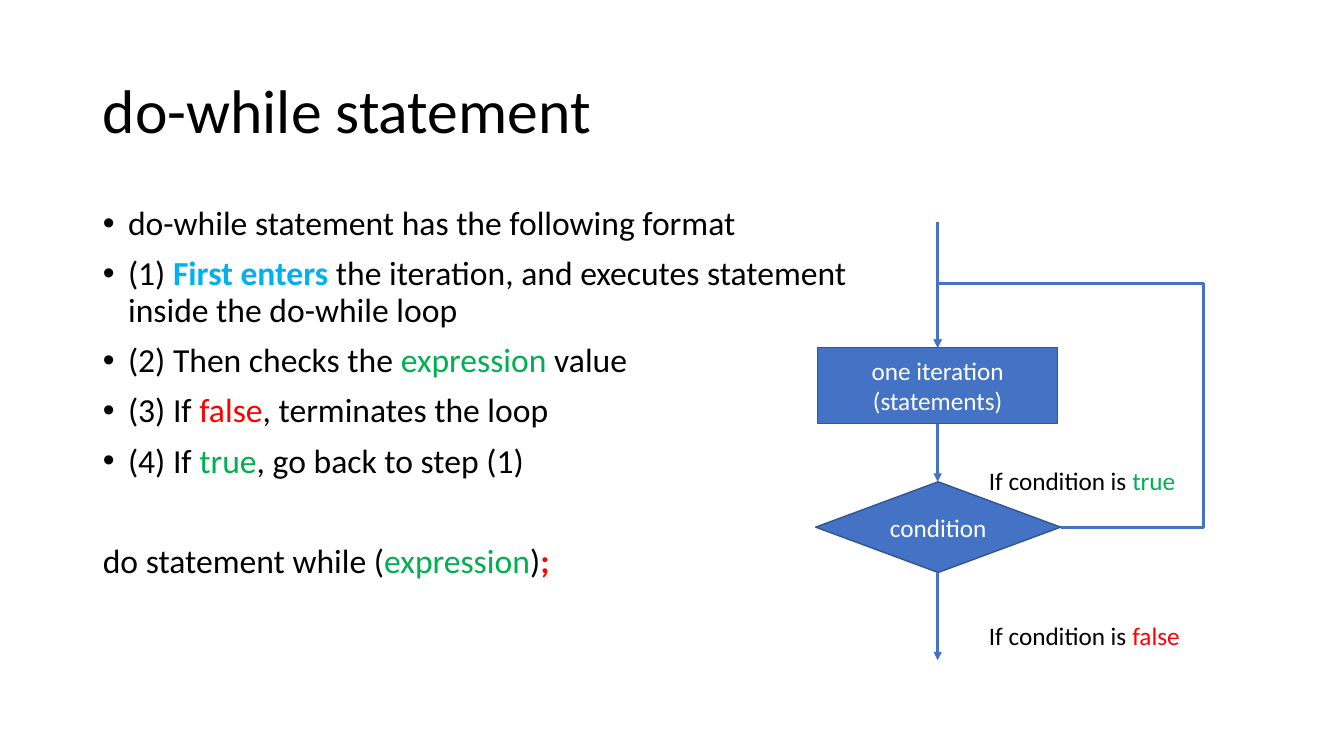
from lxml import etree
from pptx import Presentation
from pptx import util as u
from pptx.dml.color import RGBColor
from pptx.enum import shapes, text
from pptx.oxml.ns import qn

COLORS = {
    "ink": "000000",
    "paper": "FFFFFF",
    "blue": "4472C4",
    "outline": "325491",
    "sky": "00B0F0",
    "green": "00B050",
    "red": "FF0000",
}


def color(name):
    return RGBColor.from_string(COLORS[name])


class SlideBuilder:
    font_name = "Calibri"
    line_width = u.Pt(2)

    def __init__(self, page):
        self.page = page

    def place(self, box, left, top, width, height):
        box.left, box.top = u.Inches(left), u.Inches(top)
        box.width, box.height = u.Inches(width), u.Inches(height)

    def add_spans(self, para, spans, size, ink="ink"):
        para.font.name = self.font_name
        para.font.size = u.Pt(size)
        para.font.color.rgb = color(ink)
        for words, accent_ink, bold in spans:
            span = para.add_run()
            span.text = words
            if accent_ink:
                span.font.color.rgb = color(accent_ink)
            if bold:
                span.font.bold = True

    def title(self, words, *bounds):
        box = self.page.shapes.title
        self.place(box, *bounds)
        frame = box.text_frame
        frame.auto_size = text.MSO_AUTO_SIZE.NONE
        frame.vertical_anchor = text.MSO_ANCHOR.MIDDLE
        para = frame.paragraphs[0]
        para.alignment = text.PP_ALIGN.LEFT
        para.line_spacing = 0.9
        self.add_spans(para, [plain(words)], 44)

    def body(self, items, *bounds):
        box = self.page.placeholders[1]
        self.place(box, *bounds)
        frame = box.text_frame
        frame.auto_size = text.MSO_AUTO_SIZE.NONE
        for index, (bulleted, space, spans) in enumerate(items):
            para = frame.add_paragraph() if index else frame.paragraphs[0]
            self.bullet(para, bulleted)
            para.line_spacing = 0.9
            para.space_before = u.Pt(space)
            self.add_spans(para, spans, 24)

    def bullet(self, para, bulleted):
        properties = para._p.get_or_add_pPr()
        indent = u.Inches(0.25) if bulleted else 0
        properties.set("marL", str(indent))
        properties.set("indent", str(-indent))
        if bulleted:
            etree.SubElement(properties, qn("a:buFont"), typeface="Arial")
            etree.SubElement(properties, qn("a:buChar"), char="•")
        else:
            etree.SubElement(properties, qn("a:buNone"))

    def label(self, spans, *bounds):
        box = self.page.shapes.add_textbox(*map(u.Inches, bounds))
        frame = box.text_frame
        frame.word_wrap = True
        frame.auto_size = text.MSO_AUTO_SIZE.SHAPE_TO_FIT_TEXT
        self.add_spans(frame.paragraphs[0], spans, 18)

    def node(self, kind, words, *bounds):
        box = self.page.shapes.add_shape(kind, *map(u.Inches, bounds))
        box.shadow.inherit = False
        box.fill.solid()
        box.fill.fore_color.rgb = color("blue")
        box.line.color.rgb = color("outline")
        box.line.width = u.Pt(1)
        frame = box.text_frame
        frame.word_wrap = True
        frame.vertical_anchor = text.MSO_ANCHOR.MIDDLE
        para = frame.paragraphs[0]
        para.alignment = text.PP_ALIGN.CENTER
        self.add_spans(para, [plain(words)], 18, "paper")

    def arrow(self, start, end, kind=shapes.MSO_CONNECTOR.STRAIGHT):
        line = self.page.shapes.add_connector(kind, *map(u.Inches, start + end))
        line.line.color.rgb = color("blue")
        line.line.width = self.line_width
        properties = line._element.spPr
        etree.SubElement(properties.find(qn("a:ln")), qn("a:tailEnd"), type="triangle")
        etree.SubElement(properties, qn("a:effectLst"))
        return line

    def loop_arrow(self, start, end, side, top):
        line = self.arrow(start, end, shapes.MSO_CONNECTOR.ELBOW)
        geometry = line._element.spPr.find(qn("a:prstGeom"))
        geometry.set("prst", "bentConnector4")
        guides = geometry.find(qn("a:avLst"))
        if guides is None:
            guides = etree.SubElement(geometry, qn("a:avLst"))
        ratios = (
            (side - start[0]) / (end[0] - start[0]),
            (top - start[1]) / (end[1] - start[1]),
        )
        for number, ratio in enumerate(ratios, 1):
            etree.SubElement(guides, qn("a:gd"), name=f"adj{number}",
                             fmla=f"val {round(ratio * 100000)}")


def plain(words):
    return words, None, False


def accent(words, ink, bold=False):
    return words, ink, bold


def main():
    deck = Presentation()
    deck.slide_width, deck.slide_height = u.Inches(13.33), u.Inches(7.5)
    slide = SlideBuilder(deck.slides.add_slide(deck.slide_layouts[1]))

    slide.title("do-while statement", 0.92, 0.4, 11.5, 1.45)
    steps = [
        [plain("do-while statement has the following format")],
        [plain("(1) "), accent("First enters", "sky", True),
         plain(" the iteration, and executes statement inside the do-while loop")],
        [plain("(2) Then checks the "), accent("expression", "green"), plain(" value")],
        [plain("(3) If "), accent("false", "red"), plain(", terminates the loop")],
        [plain("(4) If "), accent("true", "green"), plain(", go back to step (1)")],
    ]
    syntax = [plain("do statement while ("), accent("expression", "green"),
              plain(")"), accent(";", "red", True)]
    items = [(True, 10, spans) for spans in steps] + [(False, 46, syntax)]
    slide.body(items, 0.92, 2, 7.6, 4.76)

    axis = 9.3
    iteration_top, iteration_bottom = 3.45, 4.2
    condition_top, condition_bottom = 4.78, 5.68
    condition_middle = (condition_top + condition_bottom) / 2
    for start, end in ((2.2, iteration_top), (iteration_bottom, condition_top),
                       (condition_bottom, 6.55)):
        slide.arrow((axis, start), (axis, end))
    slide.loop_arrow((10.52, condition_middle), (axis, iteration_top), 11.94, 2.81)

    for word, ink, top in (("true", "green", 4.57), ("false", "red", 6.11)):
        slide.label([plain("If condition is "), accent(word, ink)], 9.71, top, 2.24, 0.4)

    slide.node(shapes.MSO_SHAPE.DIAMOND, "condition",
               8.09, condition_top, 2.43, condition_bottom - condition_top)
    slide.node(shapes.MSO_SHAPE.RECTANGLE, "one iteration (statements)",
               8.11, iteration_top, 2.38, iteration_bottom - iteration_top)

    deck.save("out.pptx")


if __name__ == "__main__":
    main()
